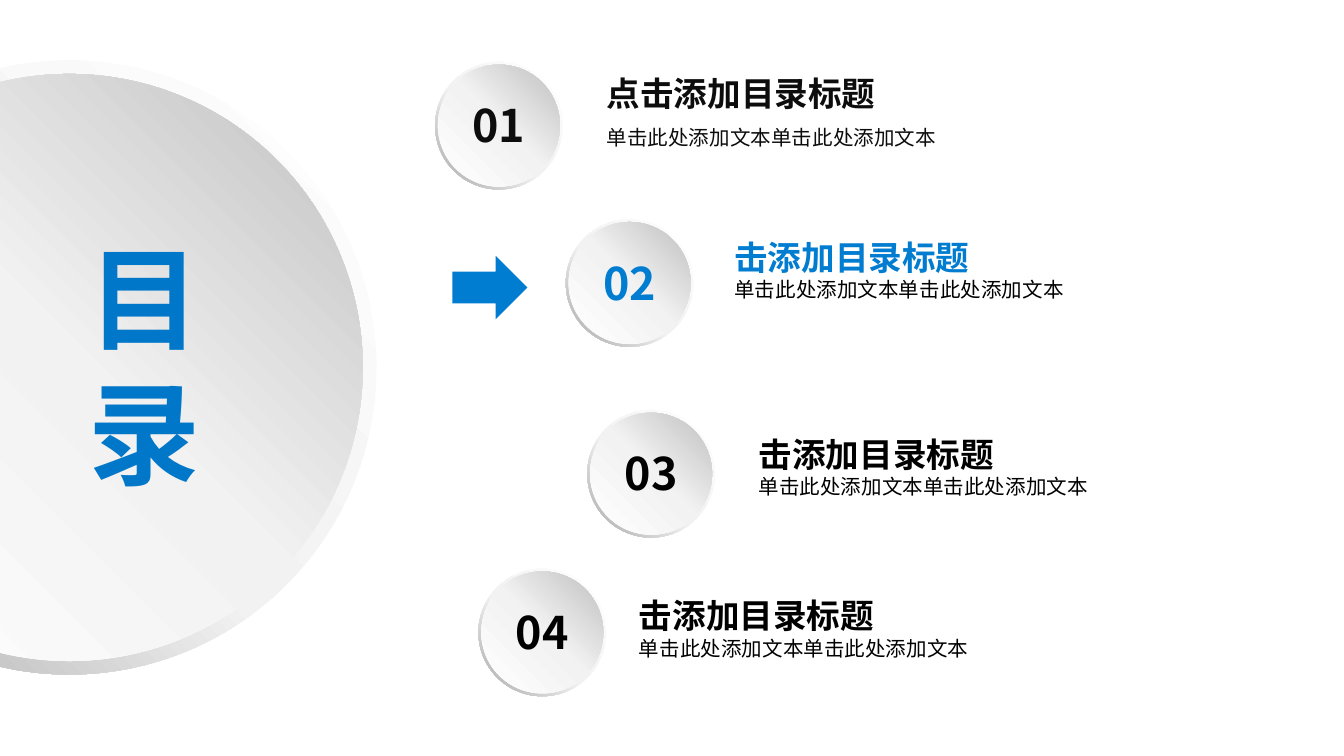
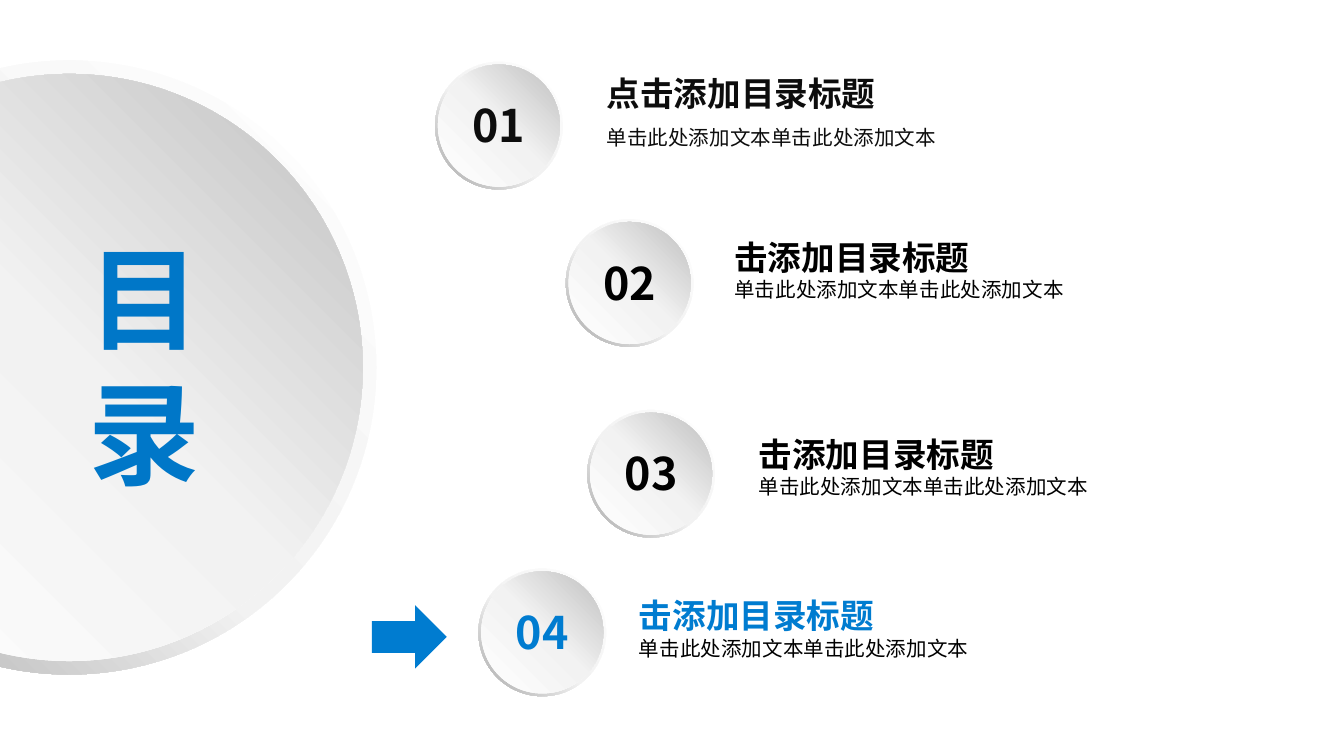
"""Build two contents slides, each with one highlighted section."""
from copy import deepcopy
from dataclasses import dataclass

from lxml import etree
from pptx import Presentation
from pptx.dml.color import RGBColor
from pptx.enum import shapes, text
from pptx.oxml import ns
from pptx.util import Pt


@dataclass(frozen=True)
class Theme:
    font: str = "Noto Sans CJK SC"
    heading: str = "0077C8"
    accent: str = "007CD0"
    ink: str = "000000"
    soft_ink: str = "0D0D0D"
    ring_stops: tuple = ((0, "FFFFFF"), (0.55, "F2F2F2"), (1, "A6A6A6"))
    disc_stops: tuple = ((0, "FFFFFF"), (0.51, "F2F2F2"), (1, "BFBFBF"))
    heading_size: int = 60
    number_size: int = 24
    title_size: int = 18
    detail_size: int = 11


@dataclass(frozen=True)
class Section:
    number: str
    title: str
    button_left: float
    button_top: float
    label_left: float
    label_top: float
    color: str
    label_height: float = 41.8
    detail_spacing: float | None = None


@dataclass(frozen=True)
class Highlight:
    number: str
    arrow_left: float
    arrow_top: float


THEME = Theme()
DETAIL = "单击此处添加文本单击此处添加文本"
BUTTON_SIZE = 68.4
SECTIONS = (
    Section("01", "点击添加目录标题", 233.1, 33.1, 318.2, 35.3, THEME.soft_ink, 49, 1.5),
    Section("02", "击添加目录标题", 303.1, 117.4, 386.6, 123.1, THEME.ink),
    Section("03", "击添加目录标题", 314.6, 219.6, 399.6, 229, THEME.ink),
    Section("04", "击添加目录标题", 256.3, 304.6, 335.5, 315.4, THEME.ink),
)
HIGHLIGHTS = (Highlight("02", 245.5, 133.9), Highlight("04", 202.3, 321.1))


def style(paragraph, size: float, color: str, bold: bool = True) -> None:
    """Set the font of a whole paragraph, for Latin and East Asian text."""
    font = paragraph.font
    font.name, font.size, font.bold = THEME.font, Pt(size), bold
    font.color.rgb = RGBColor.from_string(color)
    defaults = paragraph._p.pPr.find(ns.qn("a:defRPr"))
    etree.SubElement(defaults, ns.qn("a:ea")).set("typeface", THEME.font)


def set_frame(frame, inset_x: float = 0, inset_y: float = 0) -> None:
    """Set the wrapping, anchor and margins of a text frame."""
    frame.word_wrap = True
    frame.auto_size = text.MSO_AUTO_SIZE.SHAPE_TO_FIT_TEXT
    frame.vertical_anchor = text.MSO_ANCHOR.TOP
    frame.margin_left = frame.margin_right = Pt(inset_x)
    frame.margin_top = frame.margin_bottom = Pt(inset_y)


def add_gradient_shape(slide, kind, left: float, top: float, size: float,
                       stops: tuple, angle: float):
    """Add a round shape with a three-stop linear gradient."""
    shape = slide.shapes.add_shape(kind, Pt(left), Pt(top), Pt(size), Pt(size))
    shape.shadow.inherit = False
    shape.line.fill.background()
    shape.fill.gradient()
    shape.fill.gradient_angle = angle
    stop_list = shape._element.spPr.find(".//" + ns.qn("a:gsLst"))
    stop_list.append(deepcopy(stop_list[0]))
    for stop, (position, color) in zip(shape.fill.gradient_stops, stops):
        stop.position = position
        stop.color.rgb = RGBColor.from_string(color)
    return shape


def add_button(slide, left: float, top: float, size: float) -> None:
    """Add a raised disc inside its bevelled ring."""
    ring = add_gradient_shape(slide, shapes.MSO_SHAPE.DONUT, left, top, size,
                              THEME.ring_stops, 225)
    ring.adjustments[0] = 0.05
    inset = size * 0.022
    add_gradient_shape(slide, shapes.MSO_SHAPE.OVAL, left + inset, top + inset,
                       size - 2 * inset, THEME.disc_stops, 45)


def add_heading(slide) -> None:
    """Add the large disc and put the slide title on it."""
    add_button(slide, -127.4, 32.4, 329)
    title = slide.shapes.title
    slide.shapes._spTree.append(title._element)
    title.left, title.top, title.width, title.height = Pt(20.2), Pt(123.1), Pt(114.5), Pt(145.4)
    frame = title.text_frame
    set_frame(frame)
    frame.text = "目\n录"
    for paragraph in frame.paragraphs:
        paragraph.alignment = text.PP_ALIGN.CENTER
        style(paragraph, THEME.heading_size, THEME.heading)


def add_section(slide, section: Section, active: bool) -> None:
    """Add a numbered button with its title and detail."""
    color = THEME.accent if active else section.color
    add_button(slide, section.button_left, section.button_top, BUTTON_SIZE)
    number = slide.shapes.add_textbox(Pt(section.button_left + 11.2), Pt(section.button_top + 19.4),
                                      Pt(46), Pt(28.8)).text_frame
    set_frame(number)
    number.text = section.number
    number.paragraphs[0].alignment = text.PP_ALIGN.CENTER
    style(number.paragraphs[0], THEME.number_size, color)

    label = slide.shapes.add_textbox(Pt(section.label_left), Pt(section.label_top),
                                     Pt(206), Pt(section.label_height)).text_frame
    set_frame(label, 6.8, 3.6)
    label.text = f"{section.title}\n{DETAIL}"
    title, detail = label.paragraphs
    style(title, THEME.title_size, color)
    if section.detail_spacing:
        detail.line_spacing = section.detail_spacing
    style(detail, THEME.detail_size, section.color, bold=False)


def add_arrow(slide, highlight: Highlight) -> None:
    """Add the arrow that points at the highlighted section."""
    arrow = slide.shapes.add_shape(shapes.MSO_SHAPE.DOWN_ARROW, Pt(highlight.arrow_left),
                                   Pt(highlight.arrow_top), Pt(34), Pt(40.2))
    arrow.rotation = 270
    arrow.shadow.inherit = False
    arrow.fill.solid()
    arrow.fill.fore_color.rgb = RGBColor.from_string(THEME.accent)
    arrow.line.fill.background()


def main() -> None:
    """Build and save the presentation."""
    deck = Presentation()
    deck.slide_width, deck.slide_height = Pt(720), Pt(405)
    for highlight in HIGHLIGHTS:
        slide = deck.slides.add_slide(deck.slide_layouts.get_by_name("Title Only"))
        add_heading(slide)
        for section in SECTIONS:
            add_section(slide, section, section.number == highlight.number)
        add_arrow(slide, highlight)
    deck.save("out.pptx")


if __name__ == "__main__":
    main()
